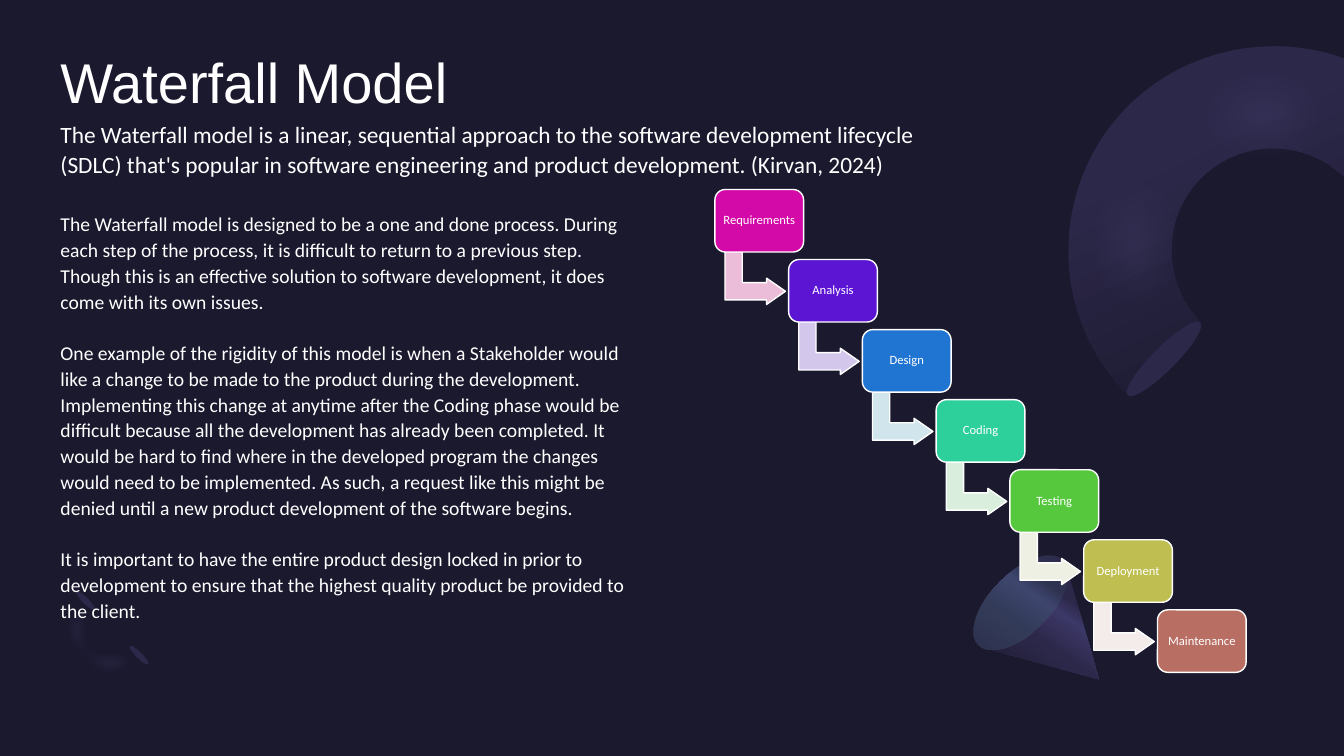
"""Build the Waterfall Model slide: text at left, a staircase of steps at right."""
from lxml.etree import SubElement
from pptx import Presentation
from pptx.dml.color import RGBColor
from pptx.enum.shapes import MSO_SHAPE
from pptx.enum.text import MSO_ANCHOR, PP_ALIGN
from pptx.oxml.ns import qn
from pptx.util import Inches, Pt

TITLE = "Waterfall Model"
INTRO = (
    "The Waterfall model is a linear, sequential approach to the software development lifecycle "
    "(SDLC) that's popular in software engineering and product development. (Kirvan, 2024)"
)
BODY = [
    "The Waterfall model is designed to be a one and done process. During each step of the process, "
    "it is difficult to return to a previous step. Though this is an effective solution to software "
    "development, it does come with its own issues.",
    "One example of the rigidity of this model is when a Stakeholder would like a change to be made "
    "to the product during the development. Implementing this change at anytime after the Coding "
    "phase would be difficult because all the development has already been completed. It would be "
    "hard to find where in the developed program the changes would need to be implemented. As such, "
    "a request like this might be denied until a new product development of the software begins.",
    "It is important to have the entire product design locked in prior to development to ensure that "
    "the highest quality product be provided to the client.",
]
STEPS = [
    ("Requirements", "D40AA8", "EBBDD9"),
    ("Analysis", "5C15D3", "D3C7EB"),
    ("Design", "2075D2", "D1E5EC"),
    ("Coding", "2DCF9B", "DAEEDE"),
    ("Testing", "55C83E", "EEF0E3"),
    ("Deployment", "BFBE51", "F3ECEB"),
    ("Maintenance", "B86E62", None),
]
THEME = {
    "back": "1B192E", "deep": "2C284A", "mid": "3C3867", "soft": "454075",
    "glow": "7771B2", "mint": "5BEFC1", "text": "FFFFFF",
    "head": "Arial", "font": "Calibri",
    "title": 40, "intro": 16.7, "body": 14, "step": 9,
}
RING = [
    (11.19, 3.92), (10.4, 3.13, 10.4, 1.84, 11.19, 1.05),
    (11.74, 0.51, 12.52, 0.34, 13.21, 0.54), (13.33, 0.58), (13.33, 1.75), (13.19, 1.64),
    (12.79, 1.38, 12.26, 1.42, 11.91, 1.77), (11.52, 2.16, 11.52, 2.8, 11.91, 3.2),
]
SHINE = [
    (11.44, 4.18), (10.51, 3.26, 10.4, 1.87, 11.19, 1.07),
    (11.69, 0.58, 12.42, 0.44, 13.12, 0.62), (13.32, 0.69), (13.32, 1.82), (13.3, 1.82),
    (12.87, 1.57, 12.35, 1.59, 12.03, 1.91), (11.64, 2.31, 11.69, 3, 12.15, 3.47),
]
CONE = [
    (10.9, 6.74), (9.77, 6.43), (9.76, 6.43), (9.74, 6.42, 9.73, 6.41, 9.71, 6.39),
    (9.6, 6.28, 9.69, 6, 9.92, 5.77), (10.15, 5.54, 10.43, 5.44, 10.55, 5.56),
    (10.56, 5.57, 10.57, 5.59, 10.58, 5.61), (10.58, 5.62),
]
ARC = [
    (0.76, 6.59), (0.56, 6.39, 0.56, 6.07, 0.76, 5.87), (0.94, 6.05),
    (0.84, 6.15, 0.84, 6.31, 0.94, 6.41), (1.03, 6.51, 1.2, 6.51, 1.29, 6.41),
    (1.47, 6.59), (1.28, 6.79, 0.95, 6.79, 0.76, 6.59),
]
GLEAM = [
    (0.76, 6.59), (0.56, 6.39, 0.58, 6.05, 0.81, 5.82), (0.99, 6),
    (0.87, 6.11, 0.86, 6.29, 0.96, 6.38), (1.06, 6.48, 1.23, 6.47, 1.35, 6.36),
    (1.52, 6.54), (1.3, 6.76, 0.95, 6.79, 0.76, 6.59),
]
ENDS = [(11.43, 3.05, 0.23, 1.02, 225), (1.35, 6.37, 0.06, 0.26, 135), (0.82, 5.83, 0.06, 0.26, 135)]
LID = (9.83, 5.39, 0.59, 1.18, 225)
FIRST, LAST = (7.09, 1.88), (11.48, 6.05)
BOX, ARROW, SHIFT = (0.88, 0.62), (0.52, 0.6), (0.14, 0.58)


def color(name):
    return RGBColor.from_string(THEME.get(name, name))


def paint(shape, fill=None, line=None):
    shape.shadow.inherit = False
    if fill:
        shape.fill.solid()
        shape.fill.fore_color.rgb = color(fill)
    if line:
        shape.line.color.rgb = color(line)
        shape.line.width = Pt(1)
    else:
        shape.line.fill.background()


def blend(shape, stops, angle):
    """Fill with (position, colour, opacity) stops."""
    paint(shape)
    shape.fill.gradient()
    grad = shape._element.spPr.find(qn("a:gradFill"))
    for child in list(grad):
        grad.remove(child)
    row = SubElement(grad, qn("a:gsLst"))
    for pos, name, alpha in stops:
        stop = SubElement(row, qn("a:gs"), pos=str(pos * 1000))
        tone = SubElement(stop, qn("a:srgbClr"), val=THEME[name])
        SubElement(tone, qn("a:alpha"), val=str(alpha * 1000))
    SubElement(grad, qn("a:lin"), ang=str(angle * 60000), scaled="0")


def haze(shape, alpha, edge):
    """Make a glow that is partly clear and fades at its edge."""
    paint(shape, "glow")
    props = shape._element.spPr
    tone = props.find(qn("a:solidFill")).find(qn("a:srgbClr"))
    SubElement(tone, qn("a:alpha"), val=str(alpha * 1000))
    SubElement(props.find(qn("a:effectLst")), qn("a:softEdge"), rad=str(Inches(edge)))


def add(slide, kind, x, y, w, h, turn=0):
    shape = slide.shapes.add_shape(kind, *map(Inches, (x, y, w, h)))
    shape.rotation = turn
    return shape


def sample(pen, part):
    curve = [pen, part[:2], part[2:4], part[4:]]
    for t in (i / 16 for i in range(1, 17)):
        mix = ((1 - t) ** 3, 3 * t * (1 - t) ** 2, 3 * t * t * (1 - t), t ** 3)
        yield tuple(sum(m * p[k] for m, p in zip(mix, curve)) for k in (0, 1))


def outline(slide, parts):
    """Size the shape by points along its edge, then draw the edge with true curves."""
    dots = []
    for last, part in zip(parts, parts[1:]):
        dots += [part] if len(part) == 2 else sample(last[-2:], part)
    build = slide.shapes.build_freeform(*map(Inches, parts[0]))
    build.add_line_segments([tuple(map(Inches, dot)) for dot in dots], close=True)
    shape = build.convert_to_shape()
    track = shape._element.spPr.find(".//" + qn("a:path"))
    for child in list(track):
        track.remove(child)
    for i, part in enumerate(parts):
        tag = "a:cubicBezTo" if len(part) == 6 else "a:lnTo" if i else "a:moveTo"
        move = SubElement(track, qn(tag))
        for x, y in zip(part[::2], part[1::2]):
            SubElement(move, qn("a:pt"), x=str(Inches(x) - shape.left), y=str(Inches(y) - shape.top))
    SubElement(track, qn("a:close"))
    return shape


def write(frame, lines, size, font, space, pad=0, before=0, after=0, align=PP_ALIGN.LEFT):
    frame.word_wrap = True
    frame.margin_left = frame.margin_right = frame.margin_top = frame.margin_bottom = Inches(pad)
    for i, line in enumerate(lines):
        para = frame.paragraphs[0] if i == 0 else frame.add_paragraph()
        para.text = line
        para.alignment = align
        para.line_spacing = space
        para.space_before, para.space_after = Pt(before), Pt(after)
        para.font.size, para.font.name = Pt(THEME[size]), THEME[font]
        para.font.color.rgb = color("text")


def decor(slide):
    blend(outline(slide, RING), [(31, "deep", 100), (97, "back", 100)], 65)
    haze(outline(slide, SHINE), 40, 0.45)
    paint(add(slide, MSO_SHAPE.OVAL, *ENDS[0]), "deep")
    cone = [(30, "deep", 100), (40, "mid", 100), (60, "deep", 100), (100, "back", 100)]
    blend(outline(slide, CONE), cone, 125)
    blend(add(slide, MSO_SHAPE.OVAL, *LID), [(0, "soft", 33), (100, "mint", 0)], 90)
    paint(outline(slide, ARC), "back")
    for end in ENDS[1:]:
        paint(add(slide, MSO_SHAPE.OVAL, *end), "deep")
    haze(outline(slide, GLEAM), 20, 0.1)


def stairs(slide):
    pitch = [(b - a) / (len(STEPS) - 1) for a, b in zip(FIRST, LAST)]
    for i, (name, fill, pale) in enumerate(STEPS):
        x, y = (a + i * d for a, d in zip(FIRST, pitch))
        if pale:
            arrow = add(slide, MSO_SHAPE.BENT_UP_ARROW, x + SHIFT[0], y + SHIFT[1], *ARROW, 90)
            for k, value in enumerate((0.33, 0.25, 0.36)):
                arrow.adjustments[k] = value
            paint(arrow, pale, "text")
        box = add(slide, MSO_SHAPE.ROUNDED_RECTANGLE, x, y, *BOX)
        paint(box, fill, "text")
        box.text_frame.vertical_anchor = MSO_ANCHOR.MIDDLE
        write(box.text_frame, [name], "step", "font", 0.9, pad=0.04, align=PP_ALIGN.CENTER)


def main():
    deck = Presentation()
    deck.slide_width, deck.slide_height = Inches(13.33), Inches(7.5)
    slide = deck.slides.add_slide(deck.slide_layouts[6])
    slide.background.fill.solid()
    slide.background.fill.fore_color.rgb = color("back")
    decor(slide)
    texts = [
        ((0.6, 0.55, 8.71, 0.61), [TITLE], "title", "head", 0.9, 0, 0),
        ((0.6, 2.08, 5.61, 4.14), BODY, "body", "font", 1.1, 10, 8),
        ((0.6, 1.16, 8.67, 0.61), [INTRO], "intro", "font", 1.1, 10, 8),
    ]
    for area, lines, size, font, space, before, after in texts:
        box = slide.shapes.add_textbox(*map(Inches, area))
        write(box.text_frame, lines, size, font, space, before=before, after=after)
    stairs(slide)
    deck.save("out.pptx")


if __name__ == "__main__":
    main()
